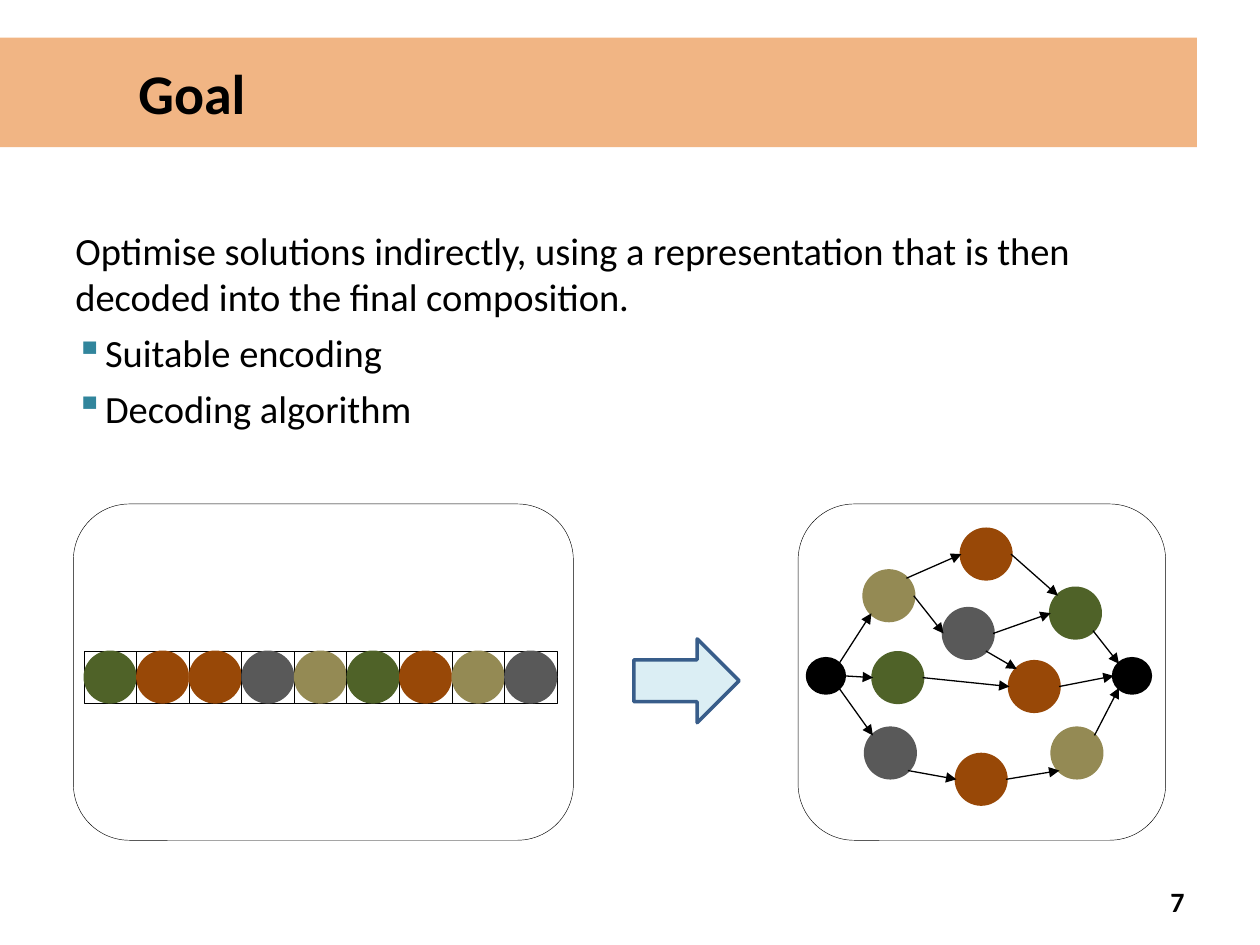
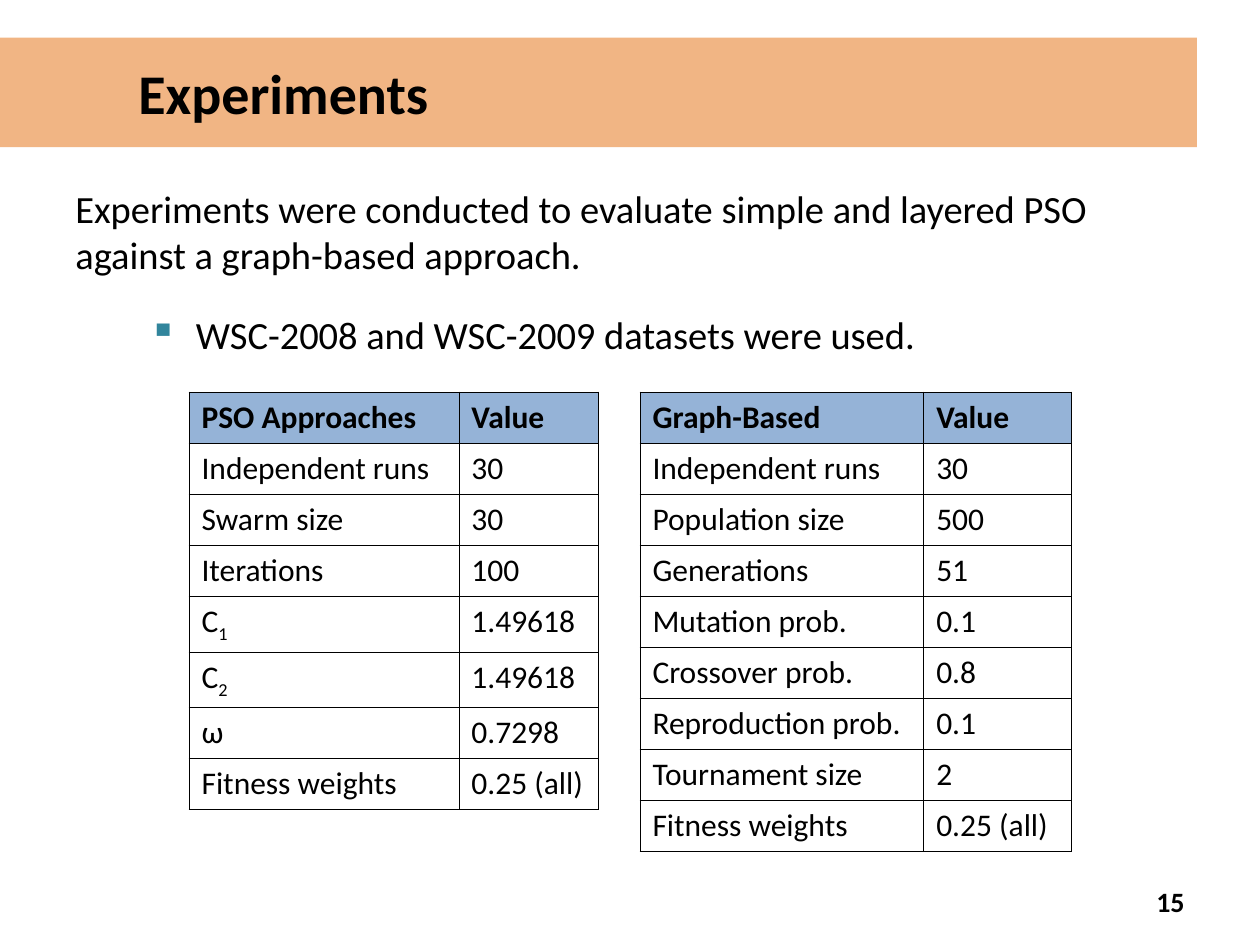
import math

import pptx
import pptx.dml.color
import pptx.enum.shapes
import pptx.enum.text
import pptx.oxml
import pptx.oxml.ns
import pptx.util

Cm = pptx.util.Cm
Pt = pptx.util.Pt
RGB = pptx.dml.color.RGBColor.from_string
MSO = pptx.enum.shapes.MSO_SHAPE
ALIGN = pptx.enum.text.PP_ALIGN
MIDDLE = pptx.enum.text.MSO_ANCHOR.MIDDLE
NS = pptx.oxml.ns.nsdecls("a")
FONT = "Calibri"

COLORS = {
    "black": "000000",
    "white": "FFFFFF",
    "band": "E46C0A",
    "bullet": "31859C",
    "green": "4F6228",
    "tan": "948A54",
    "grey": "595959",
    "orange": "984807",
    "arrow": "DBEEF4",
    "arrow_line": "385D8A",
    "header": "95B3D7",
}


def write(tf, text, size=22, bold=False, align=ALIGN.LEFT, indent=None):
    p = tf.paragraphs[0]
    if p.runs:
        p = tf.add_paragraph()
        p.space_before = Pt(5.5)
    if indent:
        pPr = p._p.get_or_add_pPr()
        pPr.set("marL", str(Cm(indent)))
        pPr.set("indent", str(-Cm(indent)))
        pPr.append(pptx.oxml.parse_xml(
            f'<a:buClr {NS}><a:srgbClr val="{COLORS["bullet"]}"/></a:buClr>'))
        pPr.append(pptx.oxml.parse_xml(f'<a:buChar {NS} char="▪"/>'))
    p.alignment = align
    base, _, sub = text.partition("_")
    for part in filter(None, (base, sub)):
        r = p.add_run()
        r.text = part
        r.font.name = FONT
        r.font.size = Pt(size)
        r.font.bold = bold
        r.font.color.rgb = RGB(COLORS["black"])
    if sub:
        r.font._element.set("baseline", "-25000")


def draw(s, kind, x, y, w, h, fill, line=None, width=0.25):
    sp = s.shapes.add_shape(kind, Cm(x), Cm(y), Cm(w), Cm(h))
    sp.shadow.inherit = False
    sp.fill.solid()
    sp.fill.fore_color.rgb = RGB(COLORS[fill])
    if line:
        sp.line.color.rgb = RGB(COLORS[line])
        sp.line.width = Pt(width)
    else:
        sp.line.fill.background()
    return sp


prs = pptx.Presentation()
prs.slide_width = Cm(25.4)
prs.slide_height = Cm(19.05)

slides = []
for title, number in (("Goal", "7"), ("Experiments", "15")):
    s = prs.slides.add_slide(prs.slide_layouts[6])
    band = draw(s, MSO.RECTANGLE, 0, 0.76, 24.13, 2.21, "band")
    color = band.fill._xPr.find(".//" + pptx.oxml.ns.qn("a:srgbClr"))
    color.append(pptx.oxml.parse_xml(f'<a:alpha {NS} val="50000"/>'))
    tf = band.text_frame
    tf.margin_left = Cm(2.79)
    tf.vertical_anchor = MIDDLE
    write(tf, title, size=32, bold=True)
    tf = s.shapes.add_textbox(Cm(18.21), Cm(17.65), Cm(5.92), Cm(1.02)).text_frame
    tf.word_wrap = True
    tf.vertical_anchor = MIDDLE
    write(tf, number, size=16, bold=True, align=ALIGN.RIGHT)
    slides.append(s)
goal, experiments = slides

INTRO = "Optimise solutions indirectly, using a representation that is then decoded into the final composition."
EVALUATION = "Experiments were conducted to evaluate simple and layered PSO against a graph-based approach."
DATASETS = "WSC-2008 and WSC-2009 datasets were used."
for s, box, lines in (
    (goal, (1.27, 4.45, 22.86, 5.28),
     ((INTRO, None), ("Suitable encoding", 0.6), ("Decoding algorithm", 0.6))),
    (experiments, (1.27, 3.6, 22.86, 2.5), ((EVALUATION, None),)),
    (experiments, (2.75, 6.15, 18.42, 1.48), ((DATASETS, 0.95),)),
):
    tf = s.shapes.add_textbox(*map(Cm, box)).text_frame
    tf.word_wrap = True
    for text, indent in lines:
        write(tf, text, indent=indent)

for x, w in ((1.48, 10.08), (16.09, 7.41)):
    draw(goal, MSO.ROUNDED_RECTANGLE, x, 10.16, w, 6.78, "white", "black")

CELL, DOT = 1.06, 1.0
GENES = ("green", "orange", "orange", "grey", "tan", "green", "orange", "tan", "grey")
gap = (CELL - DOT) / 2
for i, gene in enumerate(GENES):
    x, y = 1.69 + i * CELL, 13.12
    draw(goal, MSO.RECTANGLE, x, y, CELL, CELL, "white", "black")
    draw(goal, MSO.OVAL, x + gap, y + gap, DOT, DOT, gene, gene, 2)

draw(goal, MSO.RIGHT_ARROW, 12.78, 12.88, 2.12, 1.69, "arrow", "arrow_line", 2)

NODES = {
    "start": (16.28, 13.28, 0.74, 0.69, "black"),
    "end": (22.45, 13.28, 0.74, 0.69, "black"),
    "tan_top": (17.42, 11.51, DOT, DOT, "tan"),
    "green_mid": (17.6, 13.16, DOT, DOT, "green"),
    "grey_low": (17.45, 14.68, DOT, DOT, "grey"),
    "orange_top": (19.38, 10.67, DOT, DOT, "orange"),
    "grey_mid": (19.02, 12.27, DOT, DOT, "grey"),
    "orange_mid": (20.35, 13.34, DOT, DOT, "orange"),
    "orange_low": (19.28, 15.21, DOT, DOT, "orange"),
    "green_right": (21.18, 11.86, DOT, DOT, "green"),
    "tan_low": (21.21, 14.68, DOT, DOT, "tan"),
}
for x, y, w, h, color in NODES.values():
    draw(goal, MSO.OVAL, x, y, w, h, color, color, 2)

ANGLES = {"e": 0, "ne": 45, "nw": 135, "w": 180, "sw": 225, "se": 315}
EDGES = (
    ("start", "ne", "tan_top", "sw"),
    ("start", "e", "green_mid", "w"),
    ("start", "se", "grey_low", "nw"),
    ("tan_top", "ne", "orange_top", "w"),
    ("tan_top", "e", "grey_mid", "w"),
    ("orange_top", "e", "green_right", "nw"),
    ("grey_mid", "e", "green_right", "w"),
    ("grey_mid", "se", "orange_mid", "nw"),
    ("green_mid", "e", "orange_mid", "w"),
    ("grey_low", "se", "orange_low", "w"),
    ("orange_low", "e", "tan_low", "sw"),
    ("green_right", "se", "end", "nw"),
    ("orange_mid", "e", "end", "w"),
    ("tan_low", "ne", "end", "sw"),
)
for source, leave, target, enter in EDGES:
    ends = []
    for node, side in ((source, leave), (target, enter)):
        x, y, w, h, _ = NODES[node]
        angle = math.radians(ANGLES[side])
        ends.append(Cm(x + w / 2 * (1 + math.cos(angle))))
        ends.append(Cm(y + h / 2 * (1 - math.sin(angle))))
    cxn = goal.shapes.add_connector(pptx.enum.shapes.MSO_CONNECTOR.STRAIGHT, *ends)
    cxn.line.color.rgb = RGB(COLORS["black"])
    cxn.line.width = Pt(0.75)
    cxn.line._get_or_add_ln().append(pptx.oxml.parse_xml(f'<a:tailEnd {NS} type="triangle"/>'))
    cxn._element.spPr.append(pptx.oxml.parse_xml(f"<a:effectLst {NS}/>"))

PSO = (
    ("PSO Approaches", "Value"),
    ("Independent runs", "30"),
    ("Swarm size", "30"),
    ("Iterations", "100"),
    ("C_1", "1.49618"),
    ("C_2", "1.49618"),
    ("ω", "0.7298"),
    ("Fitness weights", "0.25 (all)"),
)
GRAPH = (
    ("Graph-Based", "Value"),
    ("Independent runs", "30"),
    ("Population size", "500"),
    ("Generations", "51"),
    ("Mutation prob.", "0.1"),
    ("Crossover prob.", "0.8"),
    ("Reproduction prob.", "0.1"),
    ("Tournament size", "2"),
    ("Fitness weights", "0.25 (all)"),
)
for x, widths, rows in ((3.81, (5.44, 2.82), PSO), (12.9, (5.72, 2.97), GRAPH)):
    heights = [1.12 if "_" in name else 1.03 for name, _ in rows]
    table = experiments.shapes.add_table(
        len(rows), 2, Cm(x), Cm(7.9), Cm(sum(widths)), Cm(sum(heights))).table
    table.first_row = table.horz_banding = False
    for col, width in zip(table.columns, widths):
        col.width = Cm(width)
    for i, row in enumerate(rows):
        table.rows[i].height = Cm(heights[i])
        for j, text in enumerate(row):
            cell = table.cell(i, j)
            tcPr = cell._tc.get_or_add_tcPr()
            for side in "LRTB":
                tcPr.append(pptx.oxml.parse_xml(
                    f'<a:ln{side} {NS} w="{Pt(0.45)}"><a:solidFill>'
                    f'<a:srgbClr val="{COLORS["black"]}"/></a:solidFill></a:ln{side}>'))
            cell.fill.solid()
            cell.fill.fore_color.rgb = RGB(COLORS["white" if i else "header"])
            write(cell.text_frame, text, size=18, bold=i == 0)

prs.save("out.pptx")
